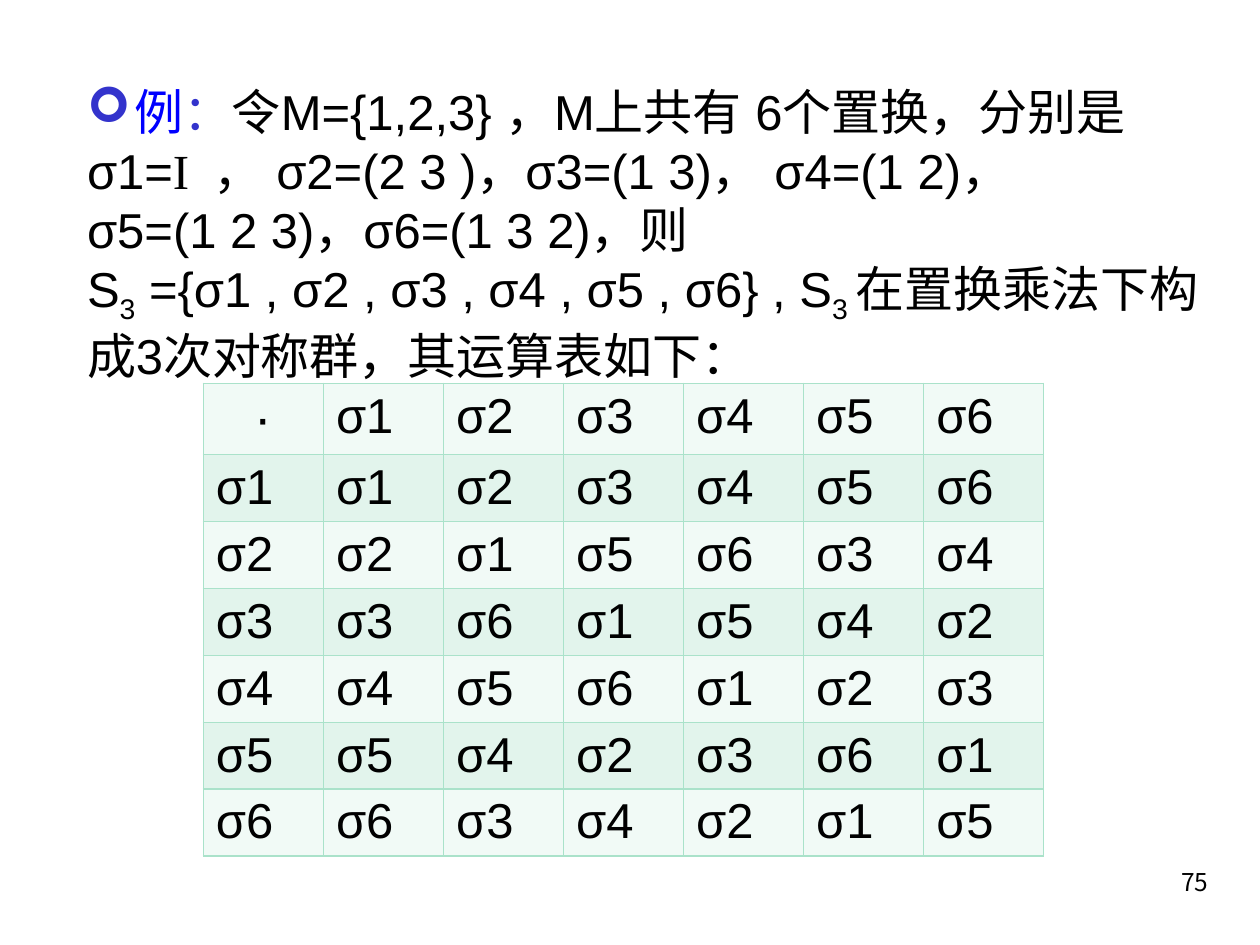
from typing import NamedTuple

from lxml import etree
from pptx import Presentation
from pptx.dml.color import RGBColor
from pptx.enum.text import MSO_ANCHOR, MSO_AUTO_SIZE, PP_ALIGN
from pptx.oxml.ns import qn
from pptx.util import Cm, Pt

LEFT, CENTER, RIGHT = PP_ALIGN.LEFT, PP_ALIGN.CENTER, PP_ALIGN.RIGHT
LATIN, SERIF, CJK = "Arial", "Times New Roman", "Noto Sans CJK KR"
BLACK, BLUE, INDIGO = "000000", "0000FF", "3333CC"
BORDER, BANDS = "AAE2CA", ("F1FAF6", "E2F4EC")
HANGING = Cm(0.95)


class Part(NamedTuple):
    text: str
    color: str = BLACK
    font: str = LATIN
    subscript: bool = False


STATEMENT = [
    [Part("例", BLUE), Part("：", INDIGO), Part("令M={1,2,3} ，M上共有 6个置换，分别是")],
    [Part("σ1="), Part("I  ", font=SERIF), Part("， σ2=(2 3 )，σ3=(1 3)， σ4=(1 2)，")],
    [Part("σ5=(1 2 3)，σ6=(1 3 2)，则")],
    [Part("S"), Part("3", subscript=True), Part(" ={σ1 , σ2 , σ3 , σ4 , σ5 , σ6} , S"),
     Part("3 ", subscript=True), Part("在置换乘法下构成3次对称群，其运算表如下：")],
]
# Row i, column j holds the index of the product of permutations i and j
PRODUCTS = ["123456", "215634", "361542", "456123", "542361", "634215"]


def rgb(color: str) -> RGBColor:
    return RGBColor.from_string(color)


def add_text(paragraph, text: str, *, size: float = 28, color: str = BLACK,
             font: str = LATIN, align=LEFT, subscript: bool = False) -> None:
    paragraph.alignment = align
    run = paragraph.add_run()
    run.text = text
    run.font.size = Pt(size)
    run.font.name = font
    run.font.color.rgb = rgb(color)
    etree.SubElement(run.font._element, qn("a:ea"), typeface=font)
    if subscript:
        run.font._element.set("baseline", "-25000")


def set_bullet(paragraph, char: str = "", color: str = BLACK) -> None:
    """Give the paragraph a hanging bullet, or none when char is empty."""
    props = paragraph._p.get_or_add_pPr()
    indent = HANGING if char else 0
    props.set("marL", str(int(indent)))
    props.set("indent", str(-int(indent)))
    if char:
        bullet_color = etree.SubElement(props, qn("a:buClr"))
        etree.SubElement(bullet_color, qn("a:srgbClr"), val=color)
        etree.SubElement(props, qn("a:buFont"), typeface="Wingdings")
        etree.SubElement(props, qn("a:buChar"), char=char)
    else:
        etree.SubElement(props, qn("a:buNone"))


def set_borders(cell, color: str) -> None:
    props = cell._tc.get_or_add_tcPr()
    for position, side in enumerate(("lnL", "lnR", "lnT", "lnB")):
        line = etree.Element(qn(f"a:{side}"), w=str(int(Pt(1))))
        fill = etree.SubElement(line, qn("a:solidFill"))
        etree.SubElement(fill, qn("a:srgbClr"), val=color)
        props.insert(position, line)


def write_statement(body) -> None:
    body.left, body.top, body.width, body.height = Cm(1.5), Cm(1.52), Cm(23.06), Cm(17.1)
    frame = body.text_frame
    frame.auto_size = MSO_AUTO_SIZE.NONE
    frame.vertical_anchor = MSO_ANCHOR.TOP
    for number, parts in enumerate(STATEMENT):
        paragraph = frame.add_paragraph() if number else frame.paragraphs[0]
        paragraph.space_before = Pt(0)
        set_bullet(paragraph, "" if number else "➢", INDIGO)
        for part in parts:
            add_text(paragraph, part.text, color=part.color, font=part.font,
                     subscript=part.subscript)


def add_product_table(slide) -> None:
    rows = ["·123456"] + [f"{i}{row}" for i, row in enumerate(PRODUCTS, 1)]
    count = len(rows)
    table = slide.shapes.add_table(count, count, Cm(4.1), Cm(7.73),
                                   Cm(16.94), Cm(9.57)).table
    for i, row in enumerate(rows):
        table.columns[i].width = Cm(2.42)
        table.rows[i].height = Cm(1.35 if i else 1.43)
        for j, entry in enumerate(row):
            cell = table.cell(i, j)
            cell.margin_top = cell.margin_bottom = Cm(0.11)
            cell.fill.solid()
            cell.fill.fore_color.rgb = rgb(BANDS[i % 2])
            set_borders(cell, BORDER)
            paragraph = cell.text_frame.paragraphs[0]
            if entry == "·":
                add_text(paragraph, entry, size=30, align=CENTER)
            else:
                add_text(paragraph, f"σ{entry}")


def add_page_number(slide, number: str) -> None:
    frame = slide.shapes.add_textbox(Cm(19.33), Cm(17.35), Cm(5.28), Cm(1.27)).text_frame
    frame.word_wrap = True
    add_text(frame.paragraphs[0], number, size=14, font=CJK, align=RIGHT)


def main() -> None:
    deck = Presentation()
    deck.slide_width, deck.slide_height = Cm(25.4), Cm(19.05)
    slide = deck.slides.add_slide(deck.slide_layouts[1])
    title = slide.shapes.title._element
    title.getparent().remove(title)
    write_statement(slide.placeholders[1])
    add_product_table(slide)
    add_page_number(slide, "75")
    deck.save("out.pptx")


if __name__ == "__main__":
    main()
